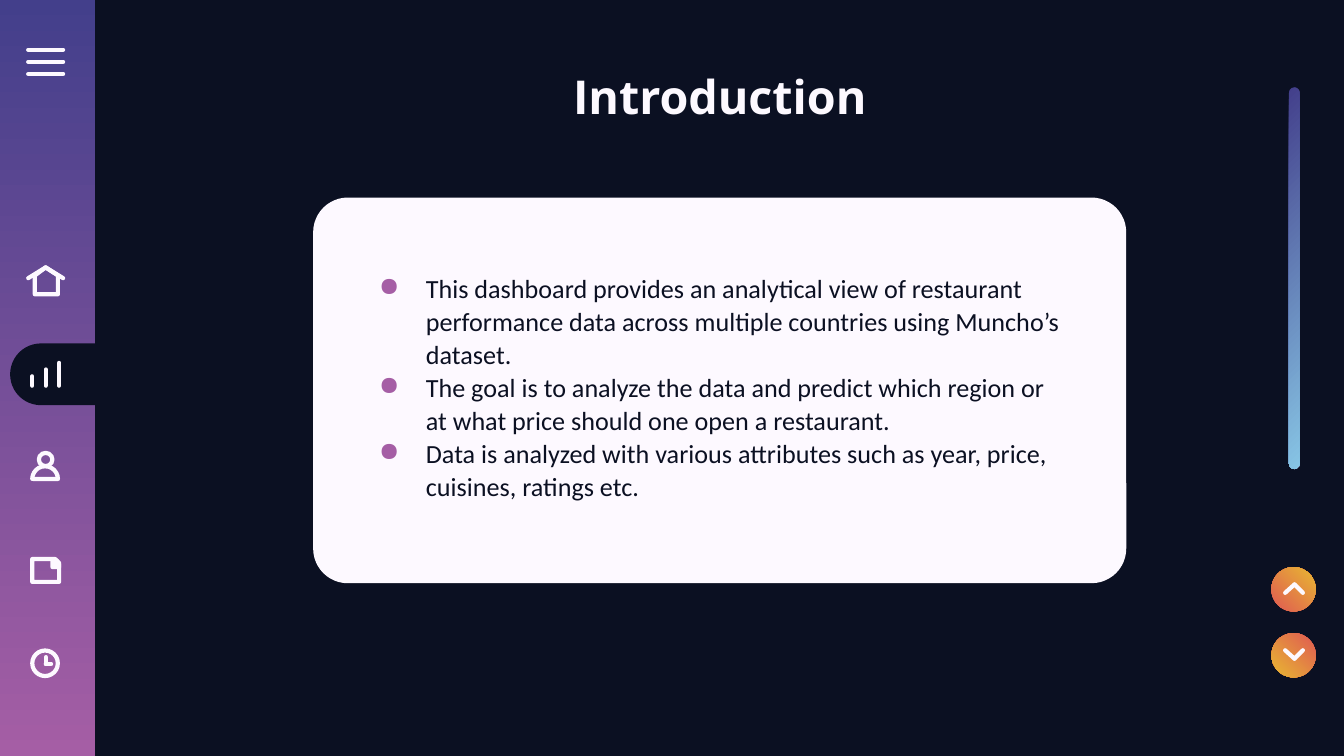
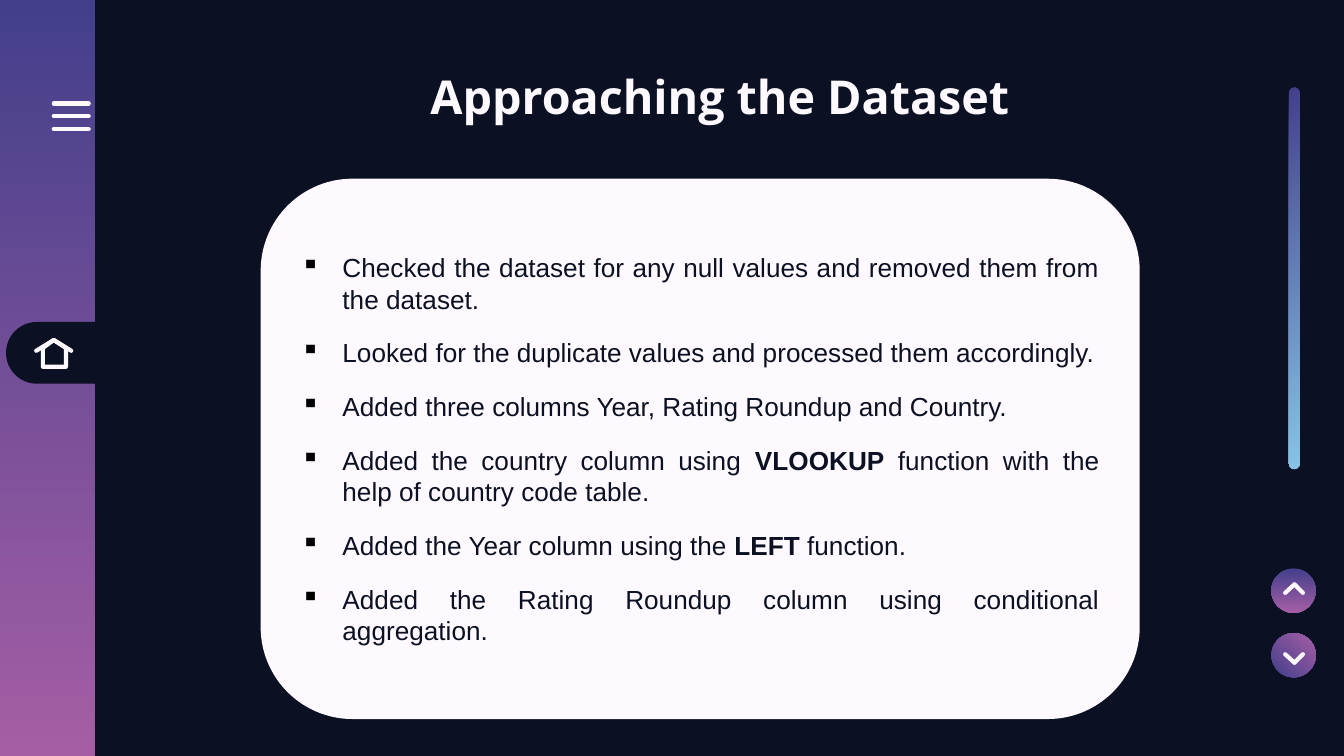
from dataclasses import dataclass

from lxml.etree import SubElement
from pptx import Presentation
from pptx.dml.color import RGBColor
from pptx.enum.shapes import MSO_CONNECTOR as Connector, MSO_SHAPE as Preset
from pptx.enum.text import MSO_ANCHOR as Anchor, PP_ALIGN as Align
from pptx.oxml.ns import qn
from pptx.util import Inches, Pt

NAVY = RGBColor(0x0B, 0x10, 0x22)
WHITE = RGBColor(0xFD, 0xF9, 0xFF)
BLACK = RGBColor(0x00, 0x00, 0x00)
INDIGO = RGBColor(0x43, 0x3F, 0x8B)
MAUVE = RGBColor(0xA5, 0x5E, 0xA5)
SKY = RGBColor(0x87, 0xC5, 0xE5)
CORAL = RGBColor(0xDF, 0x59, 0x53)
AMBER = RGBColor(0xE8, 0xB8, 0x32)

COLUMNS, ROWS = 100, 56.25
SLIDE_WIDTH = Inches(10)
CELL = SLIDE_WIDTH / COLUMNS
STROKE = Pt(2.25)
TEXT_SIZE = Pt(14)
INSET = Inches(0.1)

GOALS = [
    "This dashboard provides an analytical view of restaurant performance data "
    "across multiple countries using Muncho’s dataset.",
    "The goal is to analyze the data and predict which region or at what price "
    "should one open a restaurant.",
    "Data is analyzed with various attributes such as year, price, cuisines, "
    "ratings etc.",
]
STEPS = [
    "Checked the dataset for any null values and removed them from the dataset.",
    "Looked for the duplicate values and processed them accordingly.",
    "Added three columns Year, Rating Roundup and Country.",
    "Added the country column using *VLOOKUP* function with the help of country "
    "code table.",
    "Added the Year column using the *LEFT* function.",
    "Added the Rating Roundup column using conditional aggregation.",
]


@dataclass
class Box:
    """A rectangle measured in grid columns and rows."""
    left: float
    top: float
    width: float
    height: float

    def point(self, x, y):
        """Return the slide position of a point given as shares of the box."""
        return (round((self.left + x * self.width) * CELL),
                round((self.top + y * self.height) * CELL))

    def inner(self, x, y, width, height):
        """Return the inner box given as shares of this one."""
        return Box(self.left + x * self.width, self.top + y * self.height,
                   width * self.width, height * self.height)

    def frame(self):
        """Return left, top, width and height as slide lengths."""
        return (*self.point(0, 0), round(self.width * CELL),
                round(self.height * CELL))


WHOLE = Box(0, 0, COLUMNS, ROWS)


def stroke(item):
    """Give an item the white rounded line of the icons."""
    item.line.color.rgb = WHITE
    item.line.width = STROKE
    ln = item.element.spPr.get_or_add_ln()
    ln.set("cap", "rnd")
    SubElement(ln, qn("a:round"))


def paint(item, colour=None):
    """Fill an item with one colour, or leave it hollow, without a shadow."""
    item.shadow.inherit = False
    if colour is None:
        item.fill.background()
    else:
        item.fill.solid()
        item.fill.fore_color.rgb = colour


def add_preset(shapes, preset, box, colour=None, adjust=(), turn=0):
    """Add a preset shape without a line."""
    item = shapes.add_shape(preset, *box.frame())
    for index, value in enumerate(adjust):
        item.adjustments[index] = value
    item.rotation = turn
    paint(item, colour)
    item.line.fill.background()
    return item


def add_gradient(shapes, preset, box, colours, angle, **options):
    """Add a preset shape with a gradient at a clockwise angle."""
    item = add_preset(shapes, preset, box, **options)
    item.fill.gradient()
    item.fill.gradient_angle = (360 - angle) % 360
    for stop, colour in zip(item.fill.gradient_stops, colours):
        stop.color.rgb = colour
    return item


def draw_strokes(shapes, box, *ends):
    """Draw white lines between pairs of points in a box."""
    for start, end in ends:
        bar = shapes.add_connector(Connector.STRAIGHT, *box.point(*start),
                                   *box.point(*end))
        stroke(bar)
        SubElement(bar.element.spPr, qn("a:effectLst"))


def draw_outline(shapes, box, points, colour=None):
    """Draw a closed white outline through points in a box."""
    first, *rest = [box.point(*point) for point in points]
    builder = shapes.build_freeform(*first)
    builder.add_line_segments(rest, close=True)
    outline = builder.convert_to_shape()
    paint(outline, colour)
    stroke(outline)


def menu_icon(shapes, box):
    """Draw the three-bar menu."""
    draw_strokes(shapes, box, *[((0, y), (1, y)) for y in (0, 0.5, 1)])


def home_icon(shapes, box):
    """Draw the house with its roof."""
    draw_strokes(shapes, box, ((0, 0.4), (0.5, 0)), ((1, 0.4), (0.5, 0)))
    draw_outline(shapes, box, [(0.19, 0.3), (0.19, 1), (0.85, 1), (0.85, 0.3),
                               (0.5, 0)])


def bars_icon(shapes, box):
    """Draw three rising bars."""
    tops = (0.59, 0.29, 0)
    draw_strokes(shapes, box, *[((i / 2, top), (i / 2, 1))
                                for i, top in enumerate(tops)])


def person_icon(shapes, box):
    """Draw a head over half-round shoulders."""
    stroke(add_preset(shapes, Preset.OVAL, box.inner(0.26, 0, 0.53, 0.34)))
    stroke(add_preset(shapes, Preset.PIE, box.inner(0, 0.34, 1, 0.66),
                      adjust=(54.33, 162), turn=90))


def note_icon(shapes, box):
    """Draw a sheet with a folded corner."""
    stroke(add_preset(shapes, Preset.SNIP_1_RECTANGLE, box, adjust=(0.17,)))
    draw_outline(shapes, box, [(0.75, 0.06), (0.9, 0.06), (1, 0.24),
                               (1, 0.35), (0.75, 0.35)], WHITE)


def clock_icon(shapes, box):
    """Draw a clock face with two hands."""
    stroke(add_preset(shapes, Preset.OVAL, box))
    centre = (0.53, 0.53)
    draw_strokes(shapes, box, ((0.53, 0.26), centre), ((0.74, 0.53), centre))


def icon_column(slide, tab, icons):
    """Place the open tab and the icons of the side band."""
    add_preset(slide.shapes, Preset.ROUND_2_SAME_RECTANGLE, tab, NAVY,
               adjust=(0.5, 0), turn=270)
    for draw, box in icons:
        draw(slide.shapes.add_group_shape().shapes, box)


def scroll_button(slide, box, colours, angle, tip, wing, turn=0):
    """Place a round button with a chevron."""
    add_gradient(slide.shapes, Preset.OVAL, box, colours, angle, turn=turn)
    draw_strokes(slide.shapes.add_group_shape().shapes, box,
                 *[((0.52, tip), (x, wing)) for x in (0.31, 0.71)])


def card(slide, box, corner):
    """Place a rounded white card."""
    return add_preset(slide.shapes, Preset.ROUNDED_RECTANGLE, box, WHITE,
                      adjust=(corner,))


def prepare(frame):
    """Set wrapping, insets and middle anchoring of a text frame."""
    frame.word_wrap = True
    frame.vertical_anchor = Anchor.MIDDLE
    frame.margin_left = frame.margin_right = INSET
    frame.margin_top = frame.margin_bottom = INSET


def style(paragraph, font, size, colour, align):
    """Set the font and alignment of a paragraph."""
    paragraph.alignment = align
    paragraph.font.name = font
    paragraph.font.size = size
    paragraph.font.color.rgb = colour


def bullet_list(frame, entries, font, mark, mark_colour, indent, hang,
                align=Align.LEFT, spacing=1.0, gap=0):
    """Write a bulleted list in which asterisks enclose bold words."""
    prepare(frame)
    for index, entry in enumerate(entries):
        paragraph = frame.paragraphs[0] if index == 0 else frame.add_paragraph()
        paragraph.line_spacing = spacing
        paragraph.space_after = Pt(gap if index < len(entries) - 1 else 0)
        properties = paragraph._p.get_or_add_pPr()
        properties.set("marL", str(Inches(indent)))
        properties.set("indent", str(-Inches(hang)))
        tint = SubElement(properties, qn("a:buClr"))
        SubElement(tint, qn("a:srgbClr")).set("val", str(mark_colour))
        SubElement(properties, qn("a:buChar")).set("char", mark)
        style(paragraph, font, TEXT_SIZE, NAVY, align)
        for position, words in enumerate(entry.split("*")):
            run = paragraph.add_run()
            run.text = words
            if position % 2:
                run.font.bold = True


def base_slide(deck, heading, box=WHOLE):
    """Add a slide with background, side band, scroll bar and title."""
    slide = deck.slides.add_slide(deck.slide_layouts[6])
    slide.background.fill.solid()
    slide.background.fill.fore_color.rgb = NAVY
    add_gradient(slide.shapes, Preset.RECTANGLE, box.inner(0, 0, 0.071, 1),
                 (INDIGO, MAUVE), 90)
    add_gradient(slide.shapes, Preset.ROUNDED_RECTANGLE,
                 Box(82.1, 20.3, 28.4, 0.8), (INDIGO, SKY), 315,
                 adjust=(0.5,), turn=90)
    title = slide.shapes.add_textbox(*Box(7.1, 4, 92.9, 6.3).frame())
    prepare(title.text_frame)
    line = title.text_frame.paragraphs[0]
    line.text = heading
    style(line, "Open Sans", Pt(25), WHITE, Align.CENTER)
    line.font.bold = True
    return slide


def introduction(deck):
    """Build the introduction slide."""
    slide = base_slide(deck, "Introduction")
    icon_column(slide, Box(2, 24.3, 4.6, 7.1), [
        (menu_icon, Box(2.1, 3.7, 2.6, 1.8)),
        (home_icon, Box(2.1, 19.9, 2.6, 2)),
        (bars_icon, Box(2.4, 27, 2, 1.7)),
        (person_icon, Box(2.4, 33.7, 1.9, 2.9)),
        (note_icon, Box(2.4, 41.6, 2, 1.7)),
        (clock_icon, Box(2.4, 48.4, 1.9, 1.9)),
    ])
    card(slide, Box(23.3, 14.7, 60.5, 28.7), 0.09)
    goals = slide.shapes.add_textbox(*Box(25.7, 14.5, 54.2, 25.9).frame())
    bullet_list(goals.text_frame, GOALS, "Calibri", "●", MAUVE, 0.5, 0.35,
                spacing=1.05)
    goals.text_frame.margin_top = Inches(0.36)
    warm = (CORAL, AMBER)
    scroll_button(slide, Box(94.6, 47.1, 3.3, 3.3), warm, 315, 0.58, 0.39, 180)
    scroll_button(slide, Box(94.6, 42.2, 3.3, 3.3), warm, 315, 0.39, 0.58)


def approach(deck):
    """Build the slide on preparing the dataset."""
    slide = base_slide(deck, "Approaching the Dataset")
    steps = card(slide, Box(19.4, 13.3, 65.4, 40.2), 0.17)
    bullet_list(steps.text_frame, STEPS, "Arial", "▪", BLACK, 0.31, 0.31,
                align=Align.JUSTIFY, gap=12)
    cool = (INDIGO, MAUVE)
    scroll_button(slide, Box(94.6, 42.3, 3.3, 3.3), cool, 90, 0.36, 0.55)
    scroll_button(slide, Box(94.6, 47.1, 3.3, 3.3), cool, 135, 0.67, 0.48, 180)
    icon_column(slide, Box(1.7, 22.7, 4.6, 7.1), [
        (menu_icon, Box(4, 7.7, 2.6, 1.9)),
        (home_icon, Box(2.7, 25.3, 2.6, 2)),
    ])


def main():
    """Build and save the deck."""
    deck = Presentation()
    deck.slide_width = SLIDE_WIDTH
    deck.slide_height = round(ROWS * CELL)
    introduction(deck)
    approach(deck)
    deck.save("out.pptx")


if __name__ == "__main__":
    main()
